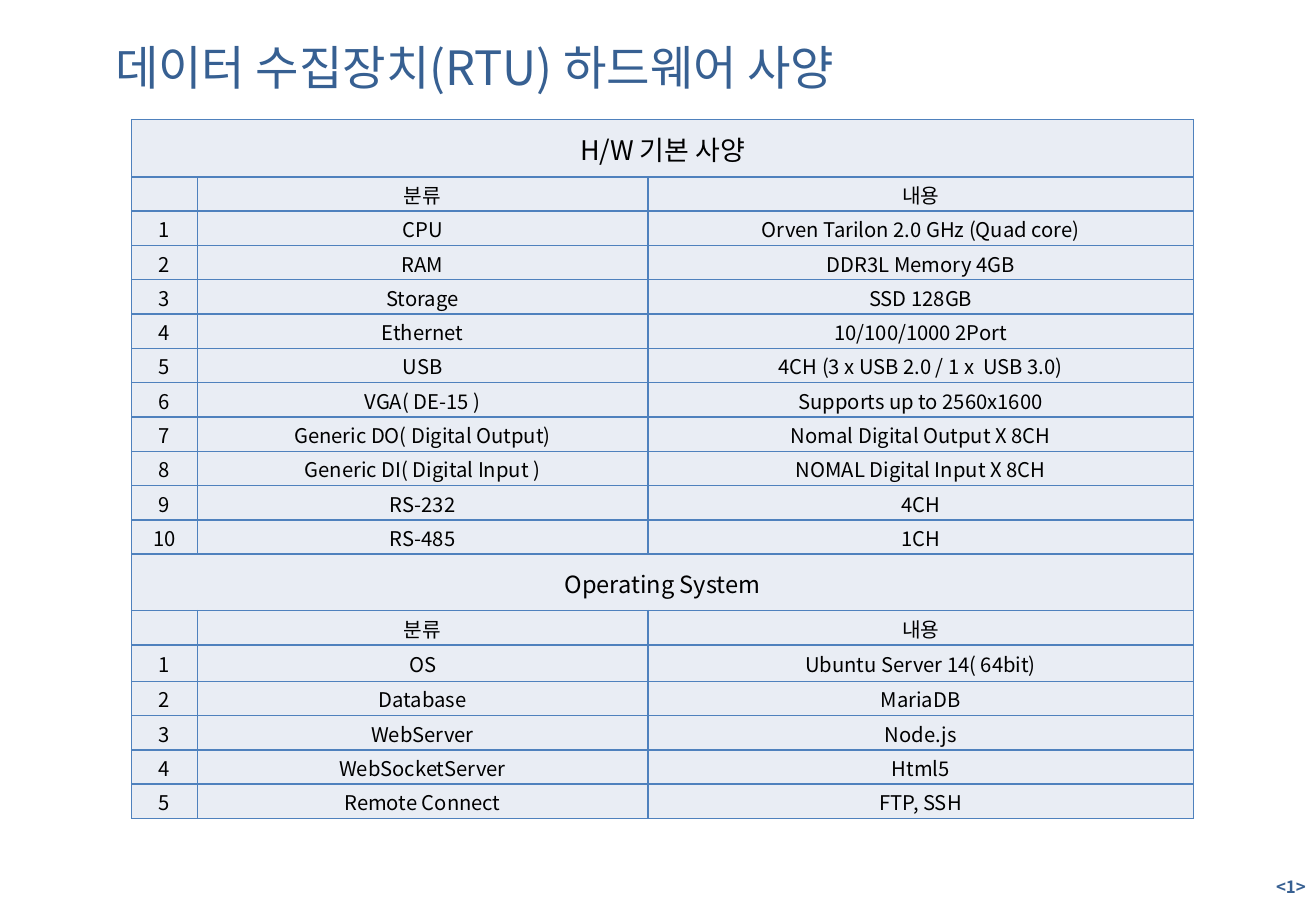
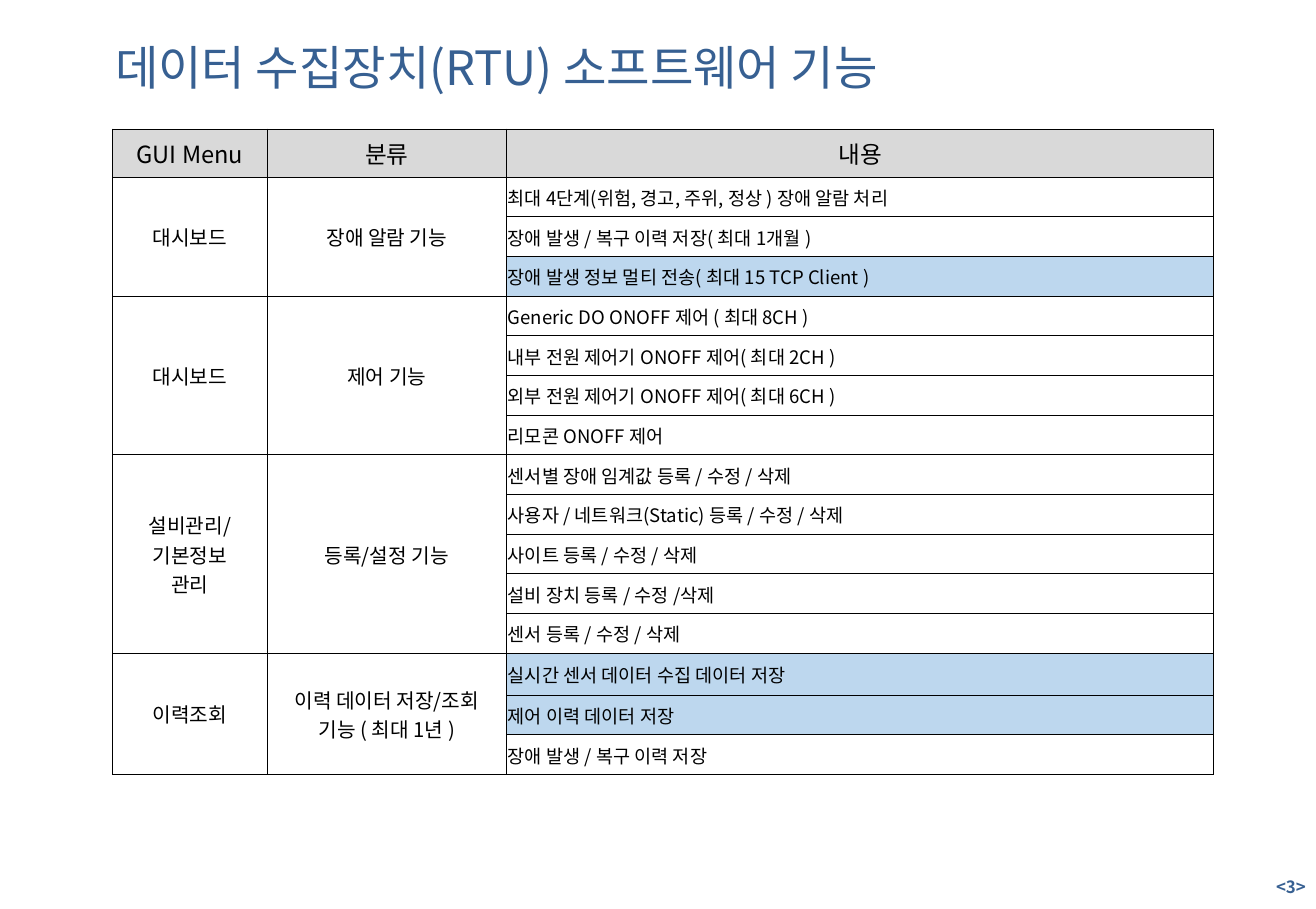
from itertools import accumulate

from lxml.etree import SubElement
from pptx import Presentation
from pptx.dml.color import RGBColor as Rgb
from pptx.enum.text import MSO_ANCHOR as Anchor, MSO_AUTO_SIZE as Fit, PP_ALIGN as Align
from pptx.oxml.ns import qn
from pptx.util import Pt

FONT = "Noto Sans CJK KR"
NAVY = Rgb(0x37, 0x60, 0x92)
BLUE = Rgb(0x4F, 0x81, 0xBD)
PALE = Rgb(0xE9, 0xED, 0xF4)
SKY = Rgb(0xBD, 0xD7, 0xEE)
GREY = Rgb(0xD9, 0xD9, 0xD9)
BLACK = Rgb(0, 0, 0)

WIDTH, HEIGHT = 780, 538.6
HEAD = ("분류", "내용")

SPECS = [
    ("H/W 기본 사양", 16, 34, [
        ("CPU", "Orven Tarilon 2.0 GHz (Quad core)"),
        ("RAM", "DDR3L Memory 4GB"),
        ("Storage", "SSD 128GB"),
        ("Ethernet", "10/100/1000 2Port"),
        ("USB", "4CH (3 x USB 2.0 / 1 x  USB 3.0)"),
        ("VGA( DE-15 )", "Supports up to 2560x1600"),
        ("Generic DO( Digital Output)", "Nomal Digital Output X 8CH"),
        ("Generic DI( Digital Input )", "NOMAL Digital Input X 8CH"),
        ("RS-232", "4CH"),
        ("RS-485", "1CH"),
    ]),
    ("Operating System", 14, 33.5, [
        ("OS", "Ubuntu Server 14( 64bit)"),
        ("Database", "MariaDB"),
        ("WebServer", "Node.js"),
        ("WebSocketServer", "Html5"),
        ("Remote Connect", "FTP, SSH"),
    ]),
]

MENUS = [
    ("대시보드", "장애 알람 기능", [
        "최대 4단계(위험, 경고, 주위, 정상 ) 장애 알람 처리",
        "장애 발생 / 복구 이력 저장( 최대 1개월 )",
        "장애 발생 정보 멀티 전송( 최대 15 TCP Client )",
    ]),
    ("대시보드", "제어 기능", [
        "Generic DO ONOFF 제어 ( 최대 8CH )",
        "내부 전원 제어기 ONOFF 제어( 최대 2CH )",
        "외부 전원 제어기 ONOFF 제어( 최대 6CH )",
        "리모콘 ONOFF 제어",
    ]),
    ("설비관리/\v기본정보\v관리", "등록/설정 기능", [
        "센서별 장애 임계값 등록 / 수정 / 삭제",
        "사용자 / 네트워크(Static) 등록 / 수정 / 삭제",
        "사이트 등록 / 수정 / 삭제",
        "설비 장치 등록 / 수정 /삭제",
        "센서 등록 / 수정 / 삭제",
    ]),
    ("이력조회", "이력 데이터 저장/조회\v기능 ( 최대 1년 )", [
        "실시간 센서 데이터 수집 데이터 저장",
        "제어 이력 데이터 저장",
        "장애 발생 / 복구 이력 저장",
    ]),
]
MARKED = {3, 13, 14}


def write(par, text, size, color=BLACK, align=Align.CENTER, bold=False):
    par.text = text
    par.alignment = align
    font = par.font
    font.size, font.bold, font.name = Pt(size), bold, FONT
    font.color.rgb = color
    props = par._p.get_or_add_pPr().get_or_add_defRPr()
    SubElement(props, qn("a:ea"), typeface=FONT)
    if not text:
        SubElement(par._p, qn("a:endParaRPr"), sz=str(size * 100))


def frame(cell, color, weight):
    """Draw the four borders of a cell."""
    props = cell._tc.get_or_add_tcPr()
    for side in ("lnL", "lnR", "lnT", "lnB"):
        line = SubElement(props, qn(f"a:{side}"), w=str(Pt(weight)))
        fill = SubElement(line, qn("a:solidFill"))
        SubElement(fill, qn("a:srgbClr"), val=str(color))


def style(cell, text, size, fill=None, align=Align.CENTER):
    cell.margin_left = cell.margin_right = cell.margin_top = Pt(0.72)
    cell.margin_bottom = 0
    cell.vertical_anchor = Anchor.MIDDLE
    if fill is None:
        cell.fill.background()
    else:
        cell.fill.solid()
        cell.fill.fore_color.rgb = fill
    write(cell.text_frame.paragraphs[0], text, size, align=align)


def grid(slide, left, top, cols, rows, color, weight):
    """Add a plain table with framed cells."""
    table = slide.shapes.add_table(
        len(rows), len(cols), Pt(left), Pt(top), Pt(sum(cols)), Pt(sum(rows))).table
    table.first_row = table.horz_banding = False
    for col, width in zip(table.columns, cols):
        col.width = Pt(width)
    for row, height in zip(table.rows, rows):
        row.height = Pt(height)
    for cell in table.iter_cells():
        frame(cell, color, weight)
    return table


def page(deck, title, number):
    slide = deck.slides.add_slide(deck.slide_layouts[5])
    head = slide.shapes.title
    head.left, head.top, head.width, head.height = Pt(61), Pt(19), Pt(506), Pt(41)
    text = head.text_frame
    text.word_wrap, text.auto_size = True, Fit.NONE
    text.vertical_anchor = Anchor.MIDDLE
    text.margin_top = text.margin_bottom = 0
    write(text.paragraphs[0], title, 28, NAVY, Align.LEFT)

    foot = slide.shapes.add_textbox(Pt(697), Pt(512), Pt(84), Pt(26.6)).text_frame
    foot.word_wrap = True
    foot.vertical_anchor = Anchor.MIDDLE
    write(foot.paragraphs[0], f"<{number}>", 10, NAVY, Align.RIGHT, bold=True)
    return slide


def specs(slide, left, top):
    """Place the numbered sections of the specification table."""
    lines, rows = [], []
    for name, size, tall, items in SPECS:
        lines += [(size, (name, "", "")), (12, ("", *HEAD))]
        lines += [(12, (str(n), *item)) for n, item in enumerate(items, 1)]
        rows += [tall] + [20.33] * (len(items) + 1)
    os_row = len(SPECS[0][3]) + 4
    rows[os_row] = 21.5
    table = grid(slide, left, top, (39, 267, 323.5), rows, BLUE, 1)
    for r, (size, texts) in enumerate(lines):
        for c, text in enumerate(texts):
            style(table.cell(r, c), text, size, PALE)
    starts = accumulate((len(part[3]) + 2 for part in SPECS[:-1]), initial=0)
    for r in starts:
        table.cell(r, 0).merge(table.cell(r, 2))


def menus(slide, left, top):
    """Place the function table, grouped by menu."""
    rows = [28.4] + [23.5] * sum(len(items) for _, _, items in MENUS)
    rows[13] = 24.9
    table = grid(slide, left, top, (91.5, 142, 419), rows, BLACK, 0.5)
    for c, text in enumerate(("GUI Menu", *HEAD)):
        style(table.cell(0, c), text, 14, GREY)
    first = 1
    for menu, kind, items in MENUS:
        for r, item in enumerate(items, first):
            for c, text in enumerate((menu, kind)):
                style(table.cell(r, c), text if r == first else "", 12)
            style(table.cell(r, 2), item, 11, SKY if r in MARKED else None, Align.LEFT)
        last = first + len(items) - 1
        for c in range(2):
            table.cell(first, c).merge(table.cell(last, c))
        first = last + 1


def main():
    deck = Presentation()
    deck.slide_width, deck.slide_height = Pt(WIDTH), Pt(HEIGHT)
    specs(page(deck, "데이터 수집장치(RTU) 하드웨어 사양", 1), 78, 70.8)
    menus(page(deck, "데이터 수집장치(RTU) 소프트웨어 기능", 3), 66.8, 76.5)
    deck.save("out.pptx")


if __name__ == "__main__":
    main()
